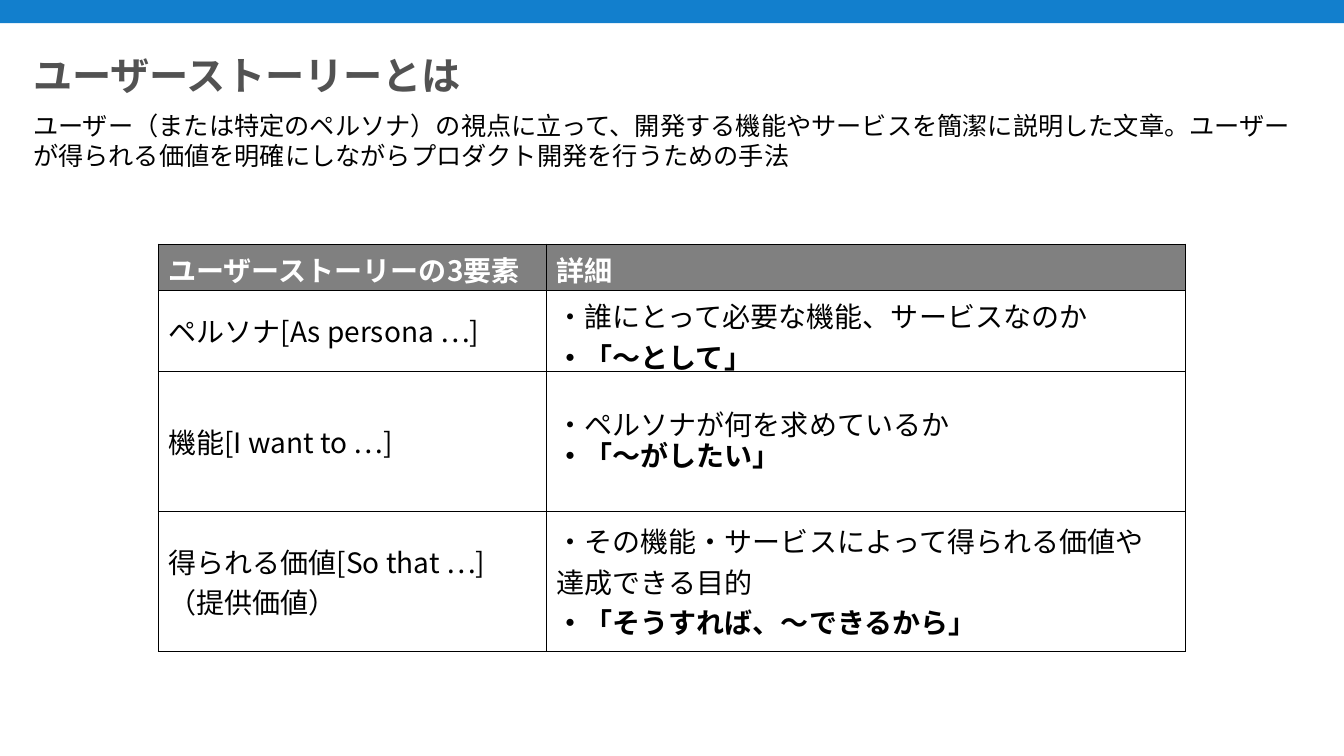
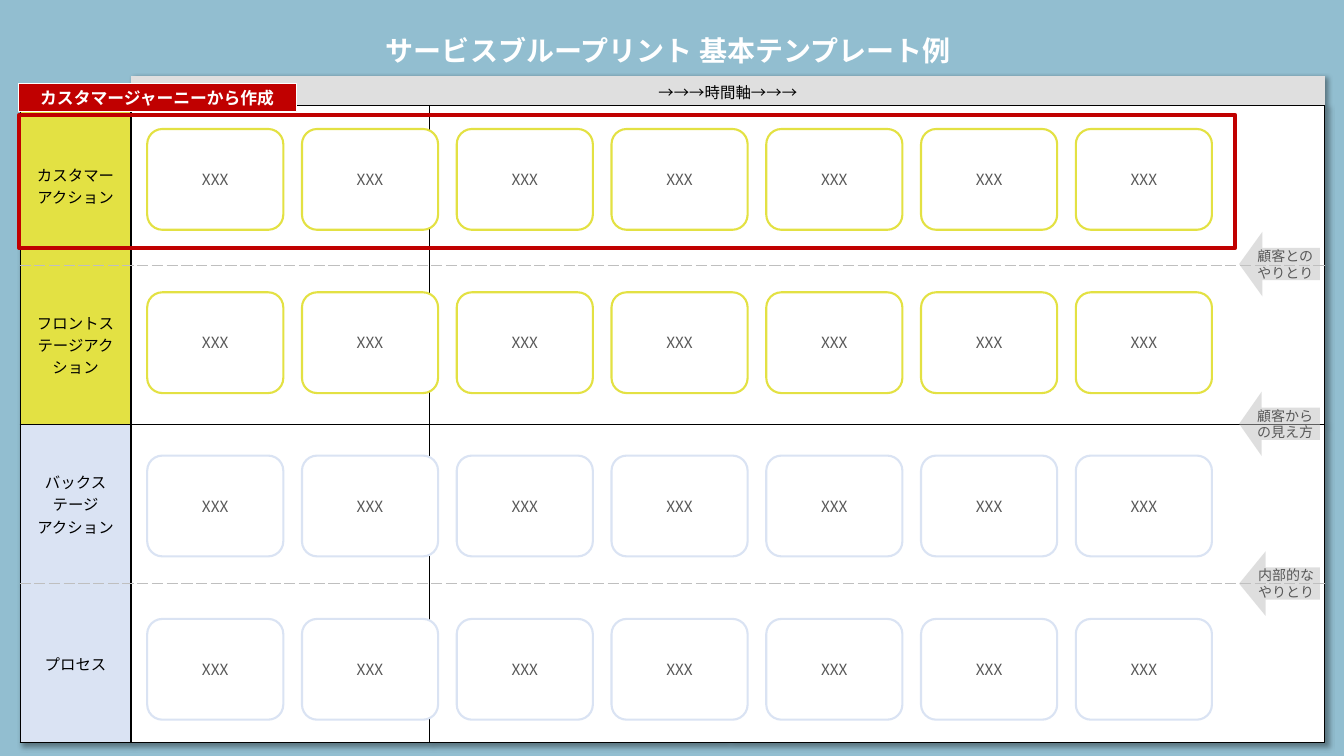
from lxml import etree
from pptx import Presentation
from pptx.dml.color import RGBColor
from pptx.enum import shapes, text
from pptx.oxml import ns
from pptx.util import Inches, Pt

FONT = "Noto Sans CJK JP"
BLACK, WHITE, GREY, RED = "000000", "FFFFFF", "595959", "C00000"
YELLOW, PALE = "E3E143", "DAE3F3"
NO_STYLE = "{2D5ABB26-0587-4C30-8999-92F81FD0307C}"
SOLID, THIN, DASH = (BLACK, 1, "solid"), (BLACK, 0.5, "solid"), ("BFBFBF", 1, "dash")
LEFT, CENTER = text.PP_ALIGN.LEFT, text.PP_ALIGN.CENTER
MIDDLE = text.MSO_ANCHOR.MIDDLE
rgb = RGBColor.from_string


def write(tf, lines, size, color, bold=False, align=LEFT, font=FONT):
    tf.word_wrap = True
    for i, line in enumerate(lines):
        p = tf.add_paragraph() if i else tf.paragraphs[0]
        p.text = line
        p.alignment = align
        p.font.size, p.font.bold, p.font.name = Pt(size), bold, font
        p.font.color.rgb = rgb(color)
        props = p._p.pPr.find(ns.qn("a:defRPr"))
        etree.SubElement(props, ns.qn("a:ea"), typeface=font)


def style_cell(cell, fill, **edges):
    """Edges are given as L, R, T and B, each (colour, points, dash)."""
    cell.vertical_anchor = MIDDLE
    tcPr = cell._tc.get_or_add_tcPr()
    for side in "LRTB":
        if edges.get(side):
            color, width, dash = edges[side]
            ln = etree.SubElement(tcPr, ns.qn("a:ln" + side), w=str(Pt(width)))
            paint = etree.SubElement(ln, ns.qn("a:solidFill"))
            etree.SubElement(paint, ns.qn("a:srgbClr"), val=color)
            etree.SubElement(ln, ns.qn("a:prstDash"), val=dash)
    if fill:
        cell.fill.solid()
        cell.fill.fore_color.rgb = rgb(fill)
    else:
        cell.fill.background()


prs = Presentation()
prs.slide_width, prs.slide_height = Inches(13.33), Inches(7.5)
blank = prs.slide_layouts[6]

# Shared frame: coloured ground, title and empty table
slides = [
    # ground height and colour; title, left, top, size, colour, align; table
    (0.23, "127FCD", "ユーザーストーリーとは", 0.23, 0.51, 28, "525252", LEFT,
     (1.57, 2.42), [3.85, 6.34], [0.46, 0.8, 1.39, 1.39]),
    (7.5, "92BED0", "サービスブループリント 基本テンプレート例", 0.2, 0.32, 20, WHITE, CENTER,
     (0.2, 0.75), [1.1] + [2.96] * 4, [0.3] + [1.58] * 4),
]
tables = []
for height, ground, title, left, top, size, color, align, at, widths, heights in slides:
    s = prs.slides.add_slide(blank)
    sp = s.shapes.add_shape(shapes.MSO_SHAPE.RECTANGLE, 0, 0, prs.slide_width, Inches(height))
    sp.shadow.inherit = False
    sp.fill.solid()
    sp.fill.fore_color.rgb = rgb(ground)
    sp.line.fill.background()
    if not tables:  # the top band belongs to the layout
        blank.shapes.element.append(sp.element)

    tf = s.shapes.add_textbox(Inches(left), Inches(top), Inches(12.86), Inches(0.53)).text_frame
    write(tf, [title], size, color, bold=True, align=align)
    tf.paragraphs[0].line_spacing = 0.9

    table = s.shapes.add_table(len(heights), len(widths), Inches(at[0]), Inches(at[1]),
                               Inches(sum(widths)), Inches(sum(heights))).table
    table._tbl.tblPr.find(ns.qn("a:tableStyleId")).text = NO_STYLE
    for column, width in zip(table.columns, widths):
        column.width = Inches(width)
    for row, height in zip(table.rows, heights):
        row.height = Inches(height)
    tables.append(table)
stories, blueprint = tables

# Slide 1: definition
s = prs.slides[0]
tf = s.shapes.add_textbox(Inches(0.23), Inches(1.04), Inches(12.86), Inches(0.71)).text_frame
write(tf, ["ユーザー（または特定のペルソナ）の視点に立って、開発する機能やサービスを簡潔に説明した文章。"
           "ユーザーが得られる価値を明確にしながらプロダクト開発を行うための手法"], 18, BLACK)

# Slide 1: the three elements
elements = [
    ("ユーザーストーリーの3要素", ["詳細"]),
    ("ペルソナ[As persona …]", ["・誰にとって必要な機能、サービスなのか", "・「～として」"]),
    ("機能[I want to …]", ["・ペルソナが何を求めているか", "・「～がしたい」"]),
    ("得られる価値[So that …]\v（提供価値）",
     ["・その機能・サービスによって得られる価値や", "達成できる目的", "・「そうすれば、～できるから」"]),
]
for r, (element, details) in enumerate(elements):
    header = r == 0
    color, fill = (WHITE, "808080") if header else (BLACK, None)
    name, detail = stories.cell(r, 0), stories.cell(r, 1)
    write(name.text_frame, [element], 20, color, bold=header)
    write(detail.text_frame, details, 20, color, font="Arial" if r == 2 else FONT)
    detail.text_frame.paragraphs[-1].font.bold = True
    style_cell(name, fill, L=THIN, R=SOLID, T=THIN, B=THIN)
    style_cell(detail, fill, L=SOLID, R=THIN, T=THIN, B=THIN)

# Slide 2: time axis and lanes
s = prs.slides[1]
effects = etree.Element(ns.qn("a:effectLst"))
shadow = etree.SubElement(effects, ns.qn("a:outerShdw"), blurRad="50800", dist="38100",
                          dir="2700000", algn="tl", rotWithShape="0")
shade = etree.SubElement(shadow, ns.qn("a:prstClr"), val="black")
etree.SubElement(shade, ns.qn("a:alpha"), val="40000")
blueprint._tbl.tblPr.insert(0, effects)

lanes = [
    (["カスタマー", "アクション"], YELLOW, SOLID, DASH),
    (["フロントステージアクション"], YELLOW, DASH, SOLID),
    (["バックステージ", "アクション"], PALE, SOLID, DASH),
    (["プロセス"], PALE, DASH, SOLID),
]
blueprint.cell(0, 1).merge(blueprint.cell(0, 4))
for c in range(5):
    axis = blueprint.cell(0, c)
    write(axis.text_frame, ["→→→時間軸→→→" if c == 1 else ""], 11, BLACK, align=CENTER)
    style_cell(axis, "DFDFDF" if c else None, B=SOLID)
    for r, (label, fill, above, below) in enumerate(lanes, 1):
        cell = blueprint.cell(r, c)
        write(cell.text_frame, [""] if c else label, 11, BLACK, align=CENTER)
        style_cell(cell, WHITE if c else fill, L=SOLID if c < 2 else None,
                   R=SOLID if c in (0, 4) else None, T=above, B=below)

# Slide 2: cards, lane arrows and the highlighted lane
RECT, ARROW = shapes.MSO_SHAPE.RECTANGLE, shapes.MSO_SHAPE.LEFT_ARROW
CARD = shapes.MSO_SHAPE.ROUNDED_RECTANGLE
card_step = (10.67 - 1.46) / 6
# kind, box, adjustments, fill, line, line width, lines, size, colour
items = [(CARD, (1.46 + card_step * c, 1.28 + 1.62 * r, 1.35, 1), [0.15], WHITE, lane[1], 1.5,
          ["XXX"], 11, GREY)
         for c in range(7) for r, lane in enumerate(lanes)]
arrows = [(["顧客との", "やりとり"], 0.36), (["顧客から", "の見え方"], 0.35),
          (["内部的な", "やりとり"], 0.41)]
items += [(ARROW, (12.29, 2.3 + 1.585 * i, 0.8, 0.64), [0.5, head], "BFBFBF", None, 0, lines, 10, GREY)
          for i, (lines, head) in enumerate(arrows)]
items += [
    (RECT, (0.19, 1.14, 12.06, 1.32), [], None, RED, 3, [], 12, WHITE),
    (RECT, (0.18, 0.83, 2.76, 0.28), [], RED, WHITE, 0.5, ["カスタマージャーニーから作成"], 12, WHITE),
]
for kind, box, adjustments, fill, line, width, lines, size, color in items:
    sp = s.shapes.add_shape(kind, *map(Inches, box))
    sp.shadow.inherit = False
    for i, value in enumerate(adjustments):
        sp.adjustments[i] = value
    if fill:
        sp.fill.solid()
        sp.fill.fore_color.rgb = rgb(fill)
    else:
        sp.fill.background()
    if line:
        sp.line.color.rgb = rgb(line)
        sp.line.width = Pt(width)
    else:
        sp.line.fill.background()
    tf = sp.text_frame
    tf.vertical_anchor = MIDDLE
    write(tf, lines, size, color, bold=kind == RECT, align=CENTER)
    if kind == ARROW:
        tf.margin_left = tf.margin_right = tf.margin_top = tf.margin_bottom = 0
        tint = sp.element.spPr.find(ns.qn("a:solidFill"))[0]
        etree.SubElement(tint, ns.qn("a:alpha"), val="50000")

prs.save("out.pptx")
